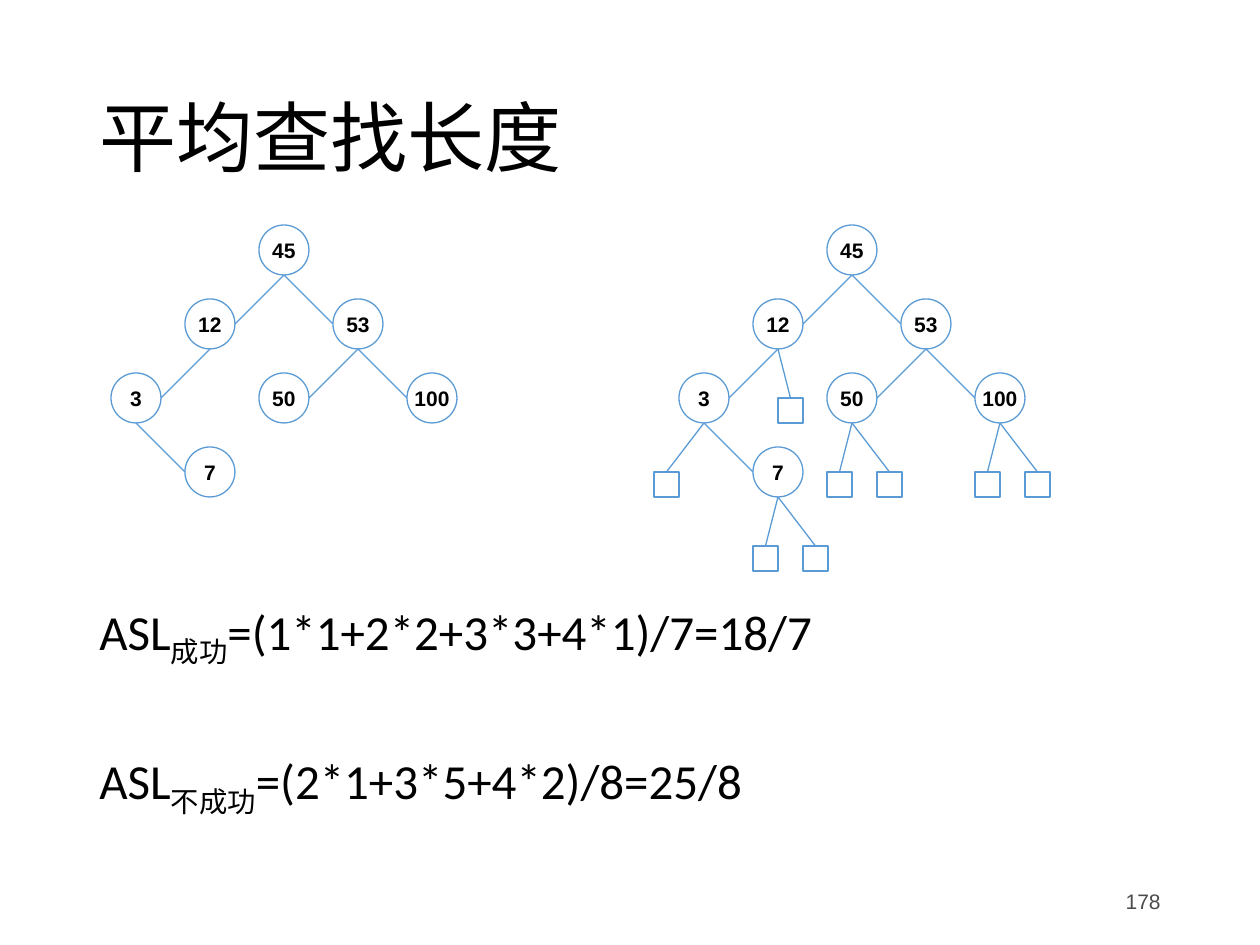
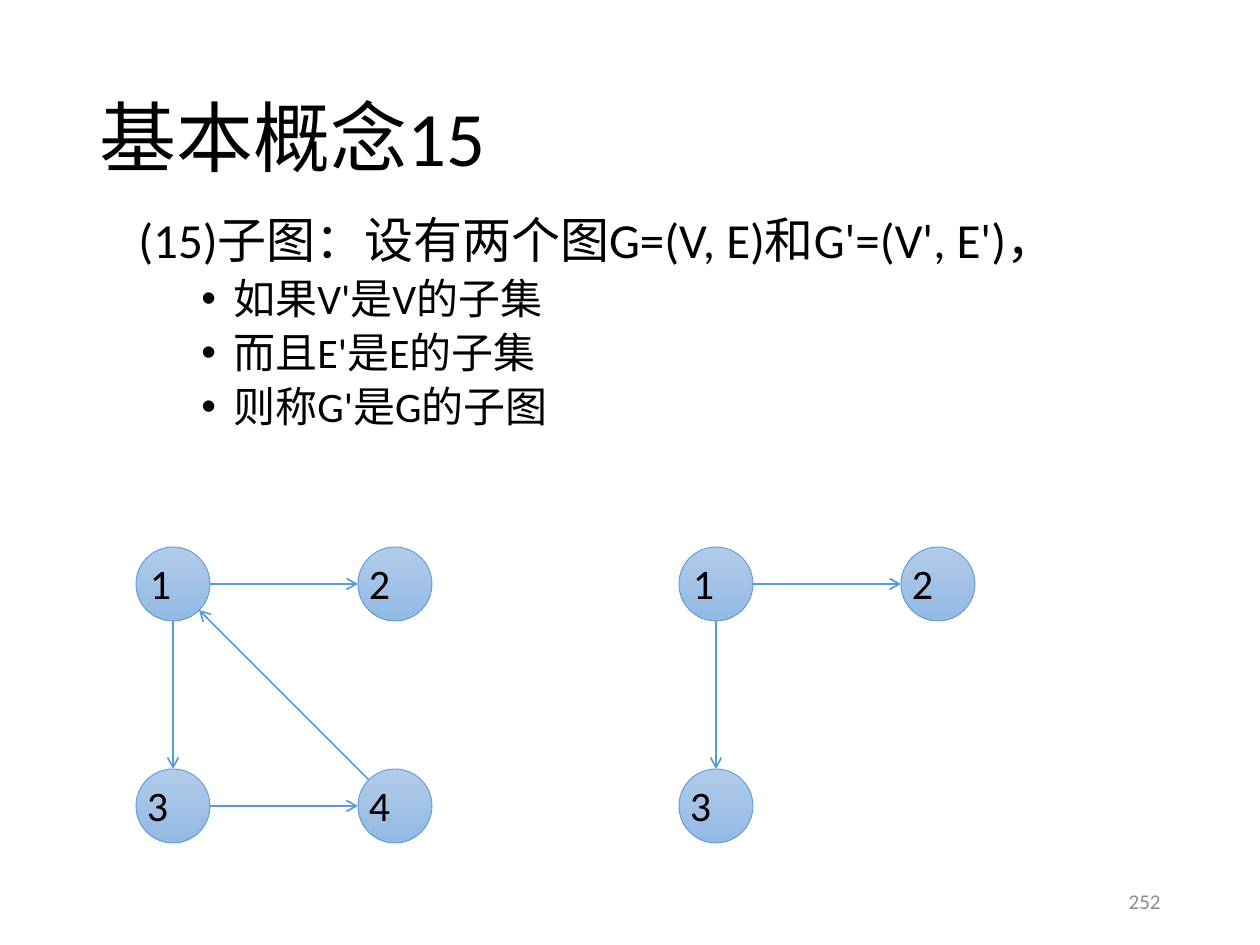
"""Build two slides: average search length of a tree, and subgraphs."""
from math import hypot

from lxml.etree import SubElement
from pptx import Presentation
from pptx.dml.color import RGBColor
from pptx.enum.shapes import MSO_CONNECTOR, MSO_SHAPE
from pptx.enum.text import MSO_ANCHOR, PP_ALIGN
from pptx.oxml.ns import qn
from pptx.util import Emu, Pt

SCALE = 914400 / 126
BLACK = "000000"
BLUE = "5B9BD5"
GRADIENT = ("B1CBE9", "93B9E4")

TREE_STEP = 74
NODE = 50
LEAF = 25
TREE_NODES = {
    "45": (2, 0, None),
    "12": (1, 1, "45"),
    "53": (3, 1, "45"),
    "3": (0, 2, "12"),
    "50": (2, 2, "53"),
    "100": (4, 2, "53"),
    "7": (1, 3, "3"),
}
LEAF_OFFSETS = {
    "12": [25],
    "3": [-25],
    "7": [0, 50],
    "50": [0, 50],
    "100": [0, 50],
}

VERTEX = 74
VERTEX_STEP = 222
VERTEX_CELLS = {"1": (0, 0), "2": (1, 0), "3": (0, 1), "4": (1, 1)}


def px(length):
    """Turn pixels into EMU."""
    return Emu(round(length * SCALE))


def color(value):
    """Turn a hex string into a colour."""
    return RGBColor.from_string(value)


def set_font(font, size, name="Calibri", fill=BLACK, bold=False):
    """Set the look of a font."""
    font.size = Pt(size)
    font.name = name
    font.bold = bold
    font.color.rgb = color(fill)


def add_box(page, left, top, width, height, anchor=MSO_ANCHOR.TOP):
    """Add a wrapping text box and return its text frame."""
    box = page.shapes.add_textbox(px(left), px(top), px(width), px(height))
    frame = box.text_frame
    frame.word_wrap = True
    frame.vertical_anchor = anchor
    return frame


def add_title(page, text):
    """Add the slide title."""
    para = add_box(page, 87, 50, 1086, 183, MSO_ANCHOR.MIDDLE).paragraphs[0]
    para.text = text
    para.line_spacing = 0.9
    set_font(para.font, 44)


def add_number(page, text, name, fill):
    """Add the slide number at the lower right."""
    para = add_box(page, 889, 876, 284, 50, MSO_ANCHOR.MIDDLE).paragraphs[0]
    para.text = text
    para.alignment = PP_ALIGN.RIGHT
    set_font(para.font, 12, name, fill)


def add_para(frame, pieces, size, margin=32, before=0, bullet=False):
    """Add a hanging paragraph of (text, is subscript) pieces."""
    first = frame.paragraphs[0]
    para = frame.add_paragraph() if first.runs else first
    for text, subscript in pieces:
        span = para.add_run()
        span.text = text
        if subscript:
            span._r.get_or_add_rPr().set("baseline", "-25000")
    para.line_spacing = 0.9
    para.space_before = Pt(before)
    properties = para._p.get_or_add_pPr()
    properties.set("marL", str(px(margin)))
    properties.set("indent", str(px(-32)))
    if bullet:
        SubElement(properties, qn("a:buFont")).set("typeface", "Arial")
        SubElement(properties, qn("a:buChar")).set("char", "•")
    set_font(para.font, size)


def add_outline(page, kind, left, top, size, width):
    """Add an unfilled preset shape with a blue outline."""
    shape = page.shapes.add_shape(kind, px(left), px(top), px(size), px(size))
    shape.shadow.inherit = False
    shape.fill.background()
    shape.line.color.rgb = color(BLUE)
    shape.line.width = Pt(width)
    return shape


def set_label(shape, text, align, right=0):
    """Write an unwrapped label into a shape."""
    frame = shape.text_frame
    frame.word_wrap = False
    frame.margin_left = frame.margin_top = frame.margin_bottom = 0
    frame.margin_right = px(right)
    para = frame.paragraphs[0]
    para.text = text
    para.alignment = align
    return para


def add_line(page, start, end, width):
    """Add a straight blue line between two points."""
    points = [px(value) for value in (*start, *end)]
    line = page.shapes.add_connector(MSO_CONNECTOR.STRAIGHT, *points)
    line.line.color.rgb = color(BLUE)
    line.line.width = Pt(width)
    SubElement(line._element.spPr, qn("a:effectLst"))
    return line


def add_tree(page, left, top):
    """Draw the search tree and return the corner of each node."""
    corners = {}
    for label, (column, row, parent) in TREE_NODES.items():
        x, y = left + column * TREE_STEP, top + row * TREE_STEP
        corners[label] = x, y
        node = add_outline(page, MSO_SHAPE.OVAL, x, y, NODE, 0.75)
        node.text_frame.vertical_anchor = MSO_ANCHOR.MIDDLE
        para = set_label(node, label, PP_ALIGN.CENTER)
        set_font(para.font, 12, "Arial", bold=True)
        if parent:
            parent_x, parent_y = corners[parent]
            side = x + NODE if x < parent_x else x
            start = parent_x + NODE // 2, parent_y + NODE
            add_line(page, start, (side, y + NODE // 2), 0.75)
    return corners


def add_leaves(page, corners):
    """Hang the square failure nodes below the tree nodes."""
    for label, offsets in LEAF_OFFSETS.items():
        x, y = corners[label]
        for offset in offsets:
            leaf = add_outline(page, MSO_SHAPE.RECTANGLE, x + offset, y + 99, LEAF, 0.75)
            start = x + NODE // 2, y + NODE
            line = add_line(page, start, (x + offset, y + 99), 0.75)
            line.end_connect(leaf, 0)


def add_vertex(page, label, left, top):
    """Add one shaded graph vertex."""
    vertex = add_outline(page, MSO_SHAPE.OVAL, left, top, VERTEX, 0.5)
    vertex.fill.gradient()
    vertex.fill.gradient_angle = 270
    for stop, shade in zip(vertex.fill.gradient_stops, GRADIENT):
        stop.color.rgb = color(shade)
    vertex.text_frame.vertical_anchor = MSO_ANCHOR.TOP
    align = PP_ALIGN.CENTER if label == "1" else PP_ALIGN.LEFT
    para = set_label(vertex, label, align, right=25)
    vertex.text_frame.word_wrap = True
    set_font(para.font, 24)


def add_arrow(page, source, target):
    """Add an arrow between the rims of two vertices given by centre."""
    dx, dy = target[0] - source[0], target[1] - source[1]
    ratio = VERTEX / 2 / hypot(dx, dy)
    start = round(source[0] + dx * ratio), round(source[1] + dy * ratio)
    end = round(target[0] - dx * ratio), round(target[1] - dy * ratio)
    arrow = add_line(page, start, end, 1)
    SubElement(arrow.line._get_or_add_ln(), qn("a:tailEnd")).set("type", "arrow")


def add_graph(page, left, top, labels, edges):
    """Draw a directed graph on a two by two grid."""
    centres = {}
    for label in labels:
        column, row = VERTEX_CELLS[label]
        x, y = left + column * VERTEX_STEP, top + row * VERTEX_STEP
        add_vertex(page, label, x, y)
        centres[label] = x + VERTEX // 2, y + VERTEX // 2
    for source, target in edges:
        add_arrow(page, centres[source], centres[target])


def build_search_length(page):
    """Build the slide on average search length."""
    add_title(page, "平均查找长度")
    frame = add_box(page, 87, 596, 1086, 256)
    add_para(frame, [("ASL", False), ("成功", True),
                     ("=(1*1+2*2+3*3+4*1)/7=18/7", False)], 28)
    add_para(frame, [("ASL", False), ("不成功", True),
                     ("=(2*1+3*5+4*2)/8=25/8", False)], 28, before=51)
    add_number(page, "178", "Arial", "4B4B4B")
    add_tree(page, 111, 225)
    add_leaves(page, add_tree(page, 679, 225))


def build_subgraph(page):
    """Build the slide on subgraphs."""
    add_title(page, "基本概念15")
    frame = add_box(page, 126, 210, 1096, 630)
    add_para(frame, [("(15)子图：设有两个图G=(V, E)和G'=(V', E')，", False)], 28)
    for text in ("如果V'是V的子集", "而且E'是E的子集", "则称G'是G的子图"):
        add_para(frame, [(text, False)], 24, margin=95, before=5, bullet=True)
    add_graph(page, 136, 547, "1234", ("12", "13", "34", "41"))
    add_graph(page, 679, 547, "123", ("12", "13"))
    add_number(page, "252", "Calibri", "8C8C8C")


def main():
    """Build and save the deck."""
    deck = Presentation()
    deck.slide_width, deck.slide_height = px(1260), px(945)
    for build in (build_search_length, build_subgraph):
        build(deck.slides.add_slide(deck.slide_layouts[6]))
    deck.save("out.pptx")


if __name__ == "__main__":
    main()
